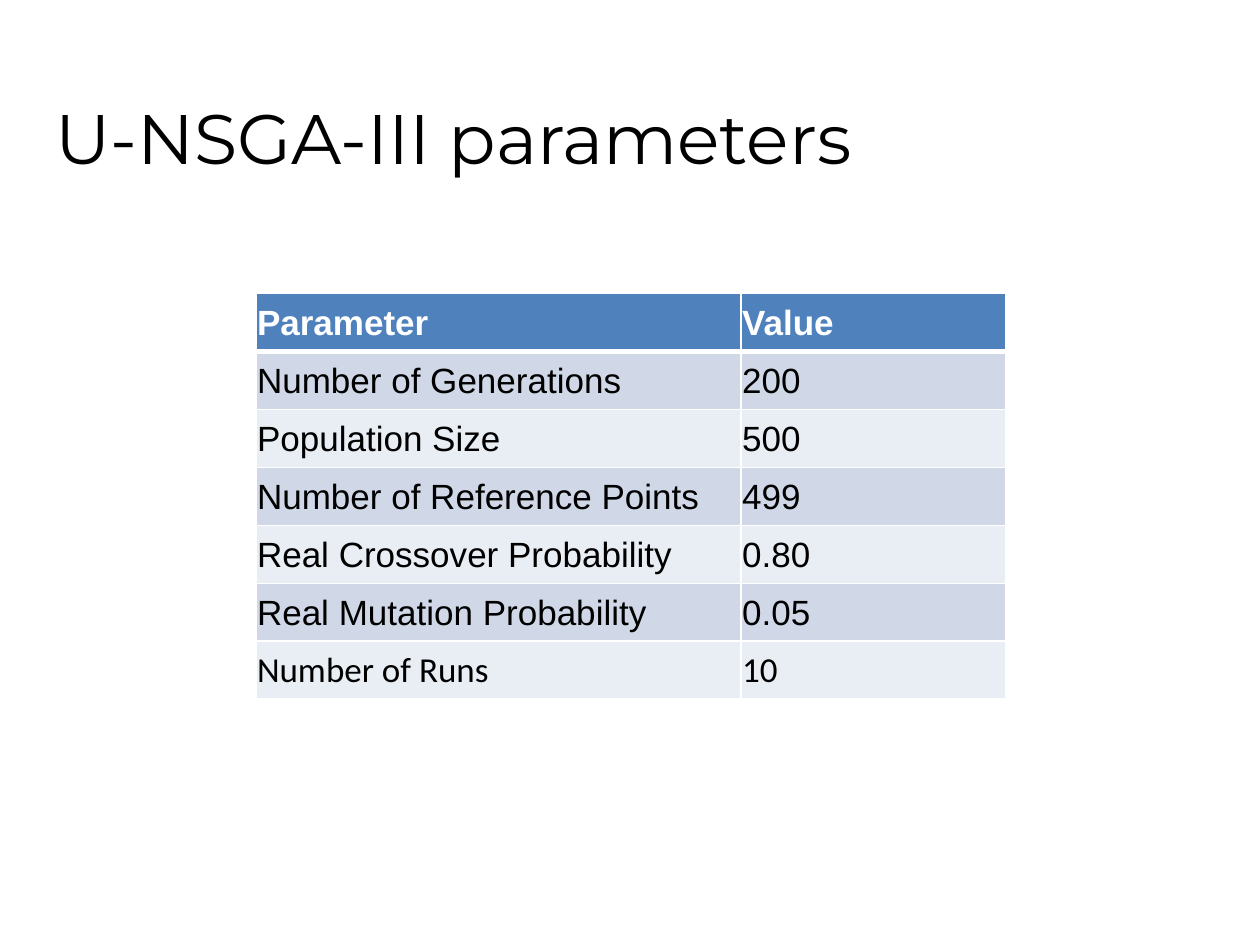
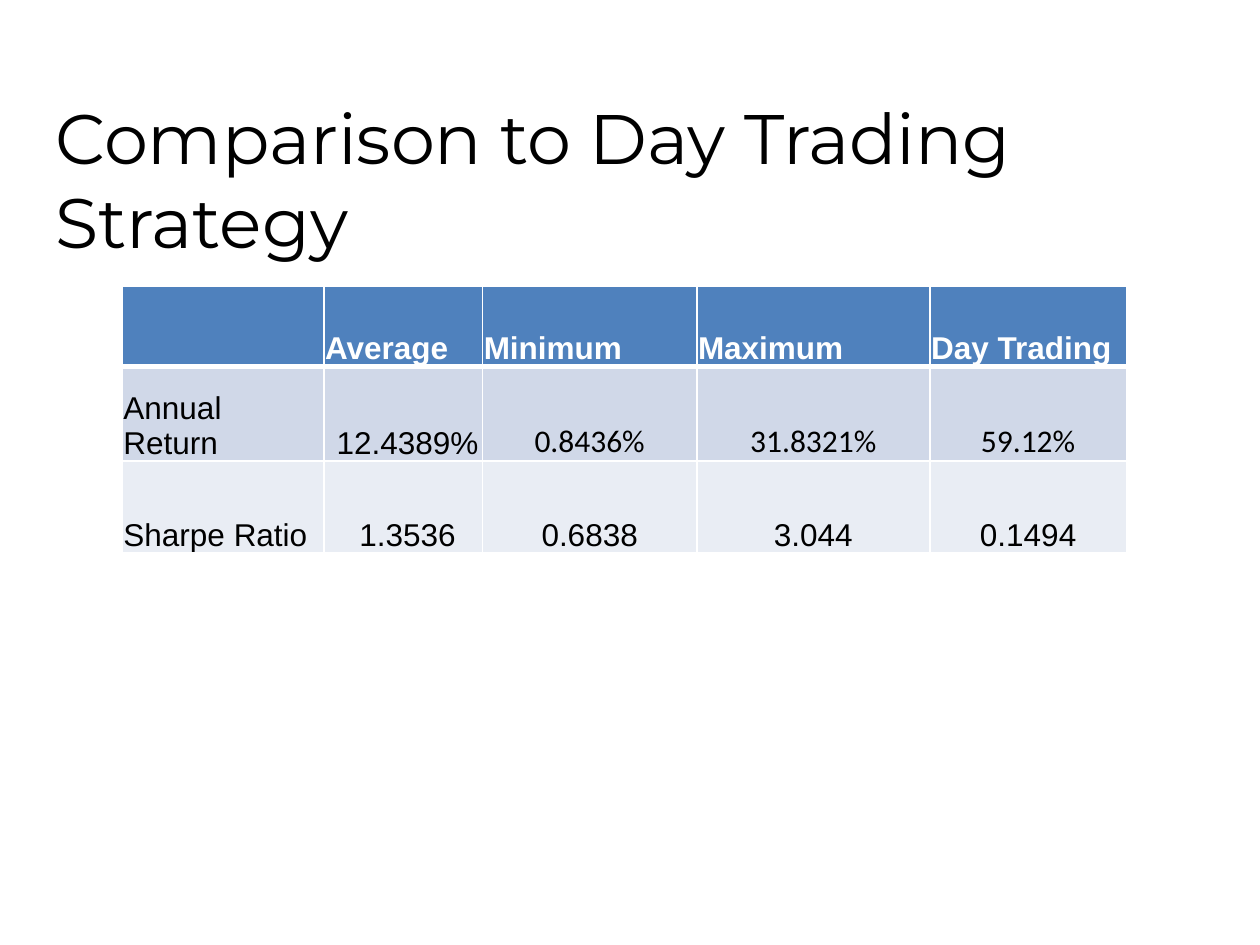
import pptx
import pptx.dml.color
import pptx.enum.text
import pptx.oxml
import pptx.oxml.ns
import pptx.util

Inches = pptx.util.Inches
Pt = pptx.util.Pt
ANCHOR = pptx.enum.text.MSO_ANCHOR
ALIGN = pptx.enum.text.PP_ALIGN

TITLE_ONLY = 5
BLACK, WHITE = "000000", "FFFFFF"
HEADER_FILL = "4F81BD"
BAND_FILLS = ("D0D8E8", "E9EDF4")
BORDER, HEADER_RULE = 1, 3
TITLE_BOX = {"left": 0.34, "top": 0.65, "width": 9.32, "height": 0.84}
MARGINS = ("margin_left", "margin_top", "margin_right", "margin_bottom")
CELL_MARGINS = dict(zip(MARGINS, (0.01, 0.01, 0.01, 0)))

PARAMETERS = [
    ("Parameter", "Value"),
    ("Number of Generations", "200"),
    ("Population Size", "500"),
    ("Number of Reference Points", "499"),
    ("Real Crossover Probability", "0.80"),
    ("Real Mutation Probability", "0.05"),
    ("Number of Runs", "10"),
]
COMPARISON = [
    ("", "Average", "Minimum", "Maximum", "Day Trading"),
    ("Annual Return", " 12.4389%", "0.8436%", "31.8321%", "59.12%"),
    ("Sharpe Ratio", " 1.3536", "0.6838", "3.044", "0.1494"),
]


def rgb(value):
    return pptx.dml.color.RGBColor.from_string(value)


def set_attributes(target, values):
    for name, value in values.items():
        setattr(target, name, value)


def set_lengths(target, inches):
    set_attributes(target, {name: Inches(value) for name, value in inches.items()})


def write(paragraph, text, font, size, color, bold=False):
    run = paragraph.add_run()
    run.text = text
    set_attributes(run.font, {"name": font, "size": Pt(size), "bold": bold})
    run.font.color.rgb = rgb(color)


def add_titled_slide(deck, text):
    slide = deck.slides.add_slide(deck.slide_layouts[TITLE_ONLY])
    title = slide.shapes.title
    set_lengths(title, TITLE_BOX)
    frame = title.text_frame
    set_lengths(frame, dict.fromkeys(MARGINS, 0.1))
    set_attributes(frame, {
        "word_wrap": True,
        "auto_size": pptx.enum.text.MSO_AUTO_SIZE.NONE,
        "vertical_anchor": ANCHOR.TOP,
    })
    paragraph = frame.paragraphs[0]
    paragraph.alignment = ALIGN.LEFT
    write(paragraph, text, "Montserrat", 40, BLACK)
    return slide


def set_borders(cell, row):
    """White grid lines, with a thicker rule between header and body."""
    widths = {
        "L": BORDER,
        "R": BORDER,
        "T": HEADER_RULE if row == 1 else BORDER,
        "B": HEADER_RULE if row == 0 else BORDER,
    }
    properties = cell._tc.get_or_add_tcPr()
    for side, width in widths.items():
        properties.append(pptx.oxml.parse_xml(
            f'<a:ln{side} {pptx.oxml.ns.nsdecls("a")} w="{Pt(width)}">'
            f'<a:solidFill><a:srgbClr val="{WHITE}"/></a:solidFill></a:ln{side}>'))


def add_banded_table(slide, left, top, widths, heights, rows, size, anchor,
                     value_align, calibri_cells):
    table = slide.shapes.add_table(
        len(rows), len(widths), Inches(left), Inches(top),
        Inches(sum(widths)), Inches(sum(heights))).table
    for column, width in zip(table.columns, widths):
        column.width = Inches(width)
    for r, (height, texts) in enumerate(zip(heights, rows)):
        table.rows[r].height = Inches(height)
        is_header = r == 0
        for c, text in enumerate(texts):
            cell = table.cell(r, c)
            set_lengths(cell, CELL_MARGINS)
            cell.vertical_anchor = anchor
            set_borders(cell, r)
            cell.fill.solid()
            cell.fill.fore_color.rgb = rgb(
                HEADER_FILL if is_header else BAND_FILLS[(r - 1) % 2])
            paragraph = cell.text_frame.paragraphs[0]
            paragraph.alignment = ALIGN.LEFT if is_header or c == 0 else value_align
            font = "Calibri" if (r, c) in calibri_cells else "Arial"
            write(paragraph, text, font, size, WHITE if is_header else BLACK, is_header)


def main():
    deck = pptx.Presentation()
    set_lengths(deck, {"slide_width": 10, "slide_height": 7.5})

    parameters = add_titled_slide(deck, "U-NSGA-III parameters")
    add_banded_table(
        parameters, 2.03, 2.33, (3.85, 2.1), [0.46] * len(PARAMETERS), PARAMETERS,
        size=20, anchor=ANCHOR.MIDDLE, value_align=ALIGN.LEFT,
        calibri_cells={(6, 0), (6, 1)})

    comparison = add_titled_slide(deck, "Comparison to Day Trading Strategy")
    add_banded_table(
        comparison, 0.97, 2.27, (1.6, 1.26, 1.7, 1.85, 1.56), (0.64, 0.75, 0.73),
        COMPARISON, size=18, anchor=ANCHOR.BOTTOM, value_align=ALIGN.CENTER,
        calibri_cells={(1, 2), (1, 3), (1, 4)})

    deck.save("out.pptx")


if __name__ == "__main__":
    main()
